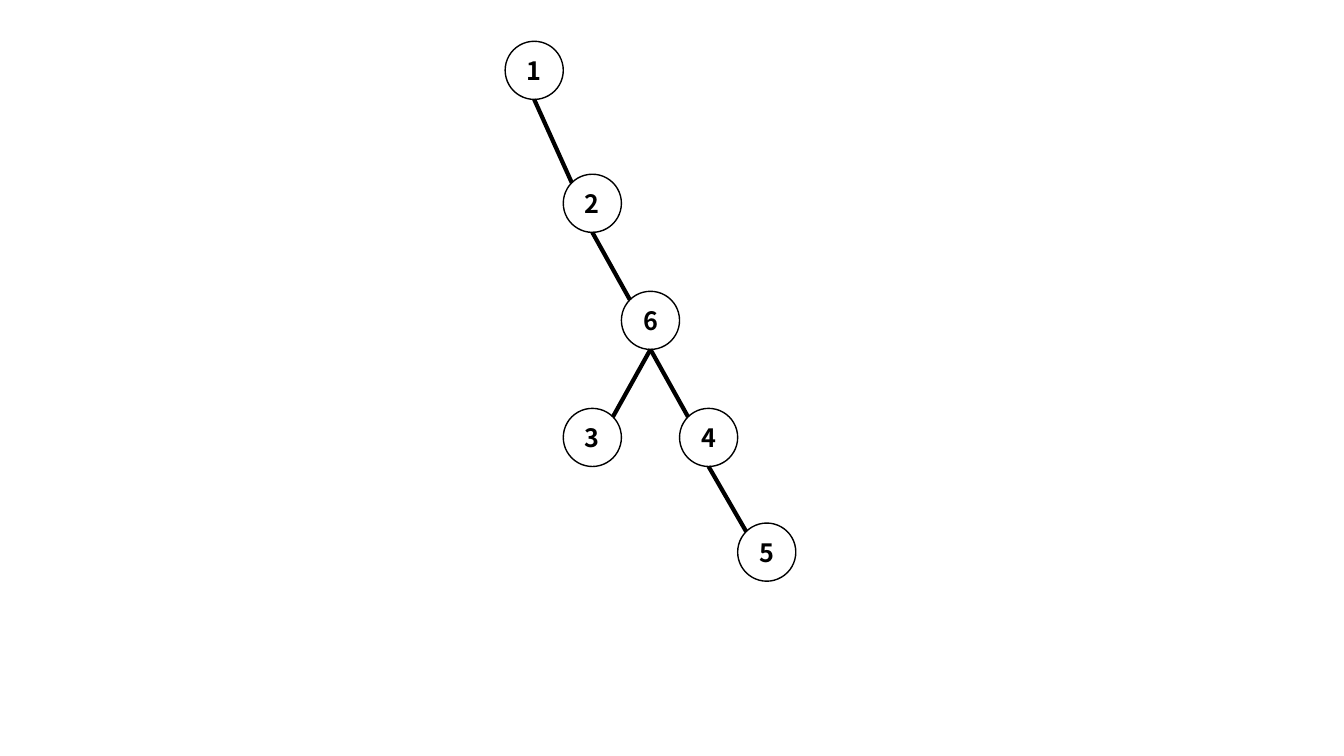
from math import sqrt

from lxml import etree
from pptx import Presentation
from pptx import util as u
from pptx.dml.color import RGBColor
from pptx.enum import shapes, text
from pptx.oxml.ns import qn

# Tree: label -> (column, level), and parent-child edges
NODES = {"1": (0, 0), "2": (1, 1), "6": (2, 2), "3": (1, 3), "4": (3, 3), "5": (4, 4)}
EDGES = [("1", "2"), ("2", "6"), ("6", "3"), ("6", "4"), ("4", "5")]

# Layout in centimetres: neighbouring columns are one diameter apart
DIAMETER = 1.465
LEFT = 12.73
LEVEL_TOPS = [1.04, 4.39, 7.34, 10.29, 13.18]
FONT = "Noto Sans CJK SC"
BLACK, WHITE = "000000", "FFFFFF"


def color(value):
    return RGBColor.from_string(value)


def corner(label):
    column, level = NODES[label]
    return LEFT + column * DIAMETER, LEVEL_TOPS[level]


def add_node(page, label):
    x, y = corner(label)
    node = page.shapes.add_shape(
        shapes.MSO_SHAPE.OVAL, u.Cm(x), u.Cm(y), u.Cm(DIAMETER), u.Cm(DIAMETER))
    node.shadow.inherit = False
    node.fill.solid()
    node.fill.fore_color.rgb = color(WHITE)
    node.line.color.rgb = color(BLACK)
    node.line.width = u.Pt(1)
    frame = node.text_frame
    frame.vertical_anchor = text.MSO_ANCHOR.MIDDLE
    frame.margin_left = frame.margin_right = frame.margin_top = frame.margin_bottom = 0
    para = frame.paragraphs[0]
    para.text = label
    para.alignment = text.PP_ALIGN.CENTER
    para.font.name = FONT
    para.font.size = u.Pt(18)
    para.font.bold = True
    para.font.color.rgb = color(BLACK)


def add_edge(page, parent, child):
    """Join the parent's bottom to the child's upper diagonal facing it."""
    radius = DIAMETER / 2
    parent_x, parent_y = corner(parent)
    child_x, child_y = corner(child)
    side = -1 if child_x > parent_x else 1
    diagonal = radius / sqrt(2)
    ends = (parent_x + radius, parent_y + DIAMETER,
            child_x + radius + side * diagonal, child_y + radius - diagonal)
    edge = page.shapes.add_connector(
        shapes.MSO_CONNECTOR.STRAIGHT, *(u.Cm(value) for value in ends))
    edge.line.color.rgb = color(BLACK)
    edge.line.width = u.Pt(3)
    etree.SubElement(edge._element.spPr, qn("a:effectLst"))


deck = Presentation()
deck.slide_width, deck.slide_height = u.Cm(33.87), u.Cm(19.05)
page = deck.slides.add_slide(deck.slide_layouts[6])

# Circles first, lines on top
for label in NODES:
    add_node(page, label)
for parent, child in EDGES:
    add_edge(page, parent, child)

deck.save("out.pptx")
